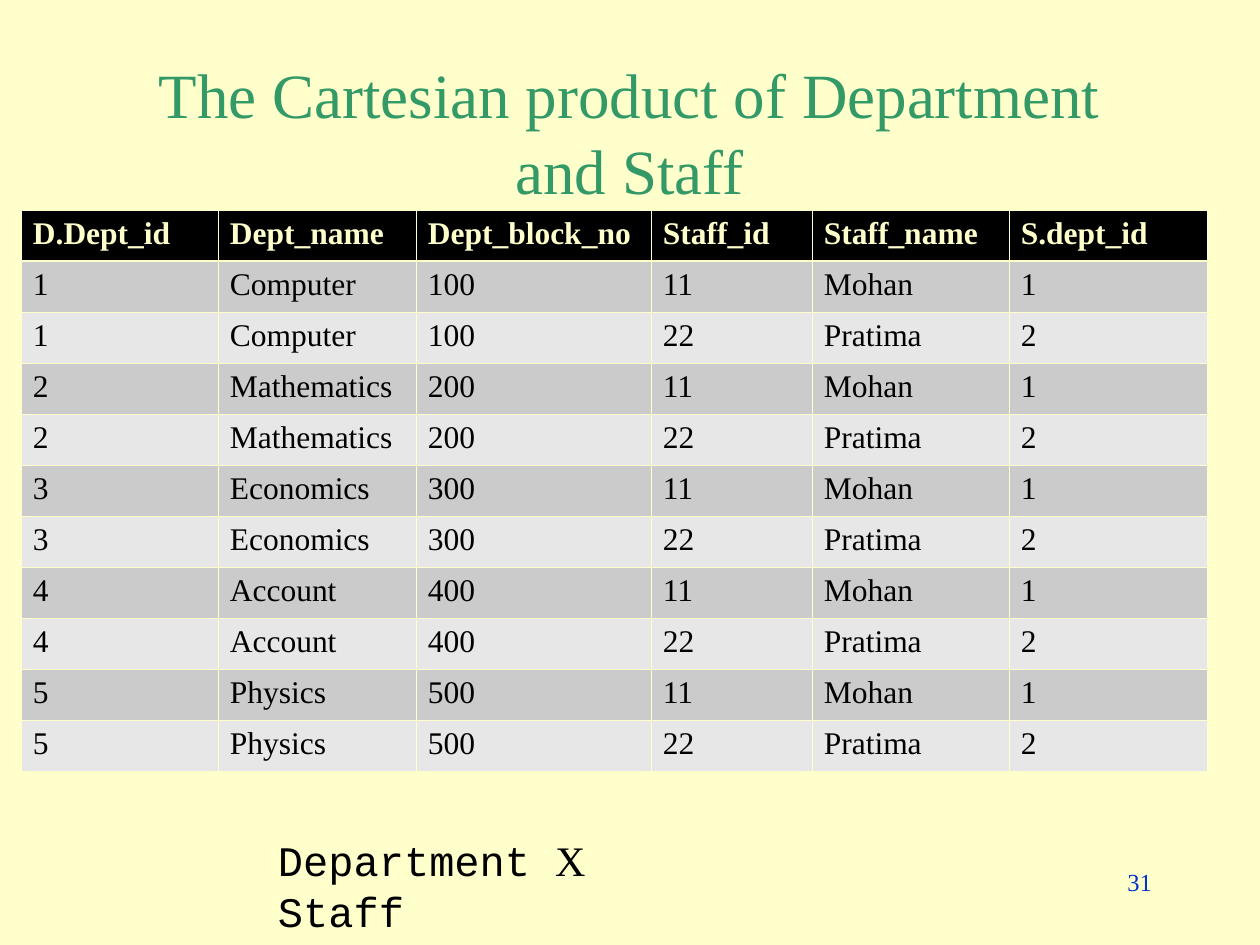
from itertools import product

from lxml.etree import SubElement
from pptx import Presentation
from pptx.dml.color import RGBColor as Rgb
from pptx.enum.text import MSO_ANCHOR as Anchor, MSO_AUTO_SIZE as AutoSize, PP_ALIGN as Align
from pptx.oxml.ns import qn
from pptx.util import Pt

PX = 914400 / 126
SERIF, MONO = "Times New Roman", "Courier New"
COLORS = {
    "paper": "FFFFCC", "title": "339966", "ink": "000000", "number": "0033CC",
    "header": "000000", "odd": "CBCBCB", "even": "E7E7E7",
}

TITLE = "The Cartesian product of Department and Staff"
PAGE_NUMBER = "31"
FORMULA = [("Department ", MONO), ("X", SERIF), (" Staff", MONO)]
HEADINGS = ["D.Dept_id", "Dept_name", "Dept_block_no", "Staff_id", "Staff_name", "S.dept_id"]
DEPARTMENTS = [
    ("1", "Computer", "100"),
    ("2", "Mathematics", "200"),
    ("3", "Economics", "300"),
    ("4", "Account", "400"),
    ("5", "Physics", "500"),
]
STAFF = [("11", "Mohan", "1"), ("22", "Pratima", "2")]

COLUMN_WIDTHS = [197, 198, 235, 161, 197, 198]
ROW_HEIGHT = 51
THIN, THICK = 0.45, 1.47


def px(*lengths):
    return [round(length * PX) for length in lengths]


def color(name):
    return Rgb.from_string(COLORS[name])


def write(frame, text, size=18, ink="ink", font=SERIF, bold=False, align=Align.LEFT,
          anchor=Anchor.TOP, wrap=True, inset=13):
    frame.word_wrap = wrap
    frame.vertical_anchor = anchor
    frame.margin_left, frame.margin_right, frame.margin_top, frame.margin_bottom = px(inset, inset, 6, 6)
    paragraph = frame.paragraphs[0]
    paragraph.alignment = align
    for words, face in [(text, font)] if isinstance(text, str) else text:
        run = paragraph.add_run()
        run.text = words
        run.font.name = face
        run.font.size = Pt(size)
        run.font.bold = bold
        run.font.color.rgb = color(ink)


def add_text(slide, box, text, **style):
    frame = slide.shapes.add_textbox(*px(*box)).text_frame
    write(frame, text, **style)
    return frame


def set_borders(cell, top, bottom):
    properties = cell._tc.get_or_add_tcPr()
    sides = [("a:lnL", THIN), ("a:lnR", THIN), ("a:lnT", top), ("a:lnB", bottom)]
    for position, (side, width) in enumerate(sides):
        line = SubElement(properties, qn(side), w=str(Pt(width)))
        fill = SubElement(line, qn("a:solidFill"))
        SubElement(fill, qn("a:srgbClr"), val=COLORS["paper"])
        properties.insert(position, line)


def add_product_table(slide, left, top):
    rows = [HEADINGS] + [department + member for department, member in product(DEPARTMENTS, STAFF)]
    size = (sum(COLUMN_WIDTHS), ROW_HEIGHT * len(rows))
    table = slide.shapes.add_table(len(rows), len(HEADINGS), *px(left, top, *size)).table
    for column, width in zip(table.columns, px(*COLUMN_WIDTHS)):
        column.width = width
    for row_index, values in enumerate(rows):
        table.rows[row_index].height = px(ROW_HEIGHT)[0]
        is_header = row_index == 0
        band = "header" if is_header else "odd" if row_index % 2 else "even"
        for column_index, value in enumerate(values):
            cell = table.cell(row_index, column_index)
            cell.fill.solid()
            cell.fill.fore_color.rgb = color(band)
            cell.margin_left, cell.margin_right, cell.margin_top, cell.margin_bottom = px(12, 12, 6, 6)
            set_borders(cell, THICK if row_index == 1 else THIN, THICK if is_header else THIN)
            paragraph = cell.text_frame.paragraphs[0]
            run = paragraph.add_run()
            run.text = value
            run.font.name = SERIF
            run.font.size = Pt(18)
            run.font.bold = is_header
            run.font.color.rgb = color("paper" if is_header else "ink")


def main():
    deck = Presentation()
    deck.slide_width, deck.slide_height = px(1260, 945)
    slide = deck.slides.add_slide(deck.slide_layouts[6])
    slide.background.fill.solid()
    slide.background.fill.fore_color.rgb = color("paper")

    add_text(slide, (94, 84, 1071, 95), TITLE, size=36, ink="title",
             align=Align.CENTER, anchor=Anchor.MIDDLE, inset=16)
    add_product_table(slide, 21, 210)
    add_text(slide, (903, 861, 262, 63), PAGE_NUMBER, size=14, ink="number", align=Align.RIGHT)
    formula = add_text(slide, (265, 829, 484, 63), FORMULA, size=24, wrap=False)
    formula.auto_size = AutoSize.SHAPE_TO_FIT_TEXT
    deck.save("out.pptx")


if __name__ == "__main__":
    main()
